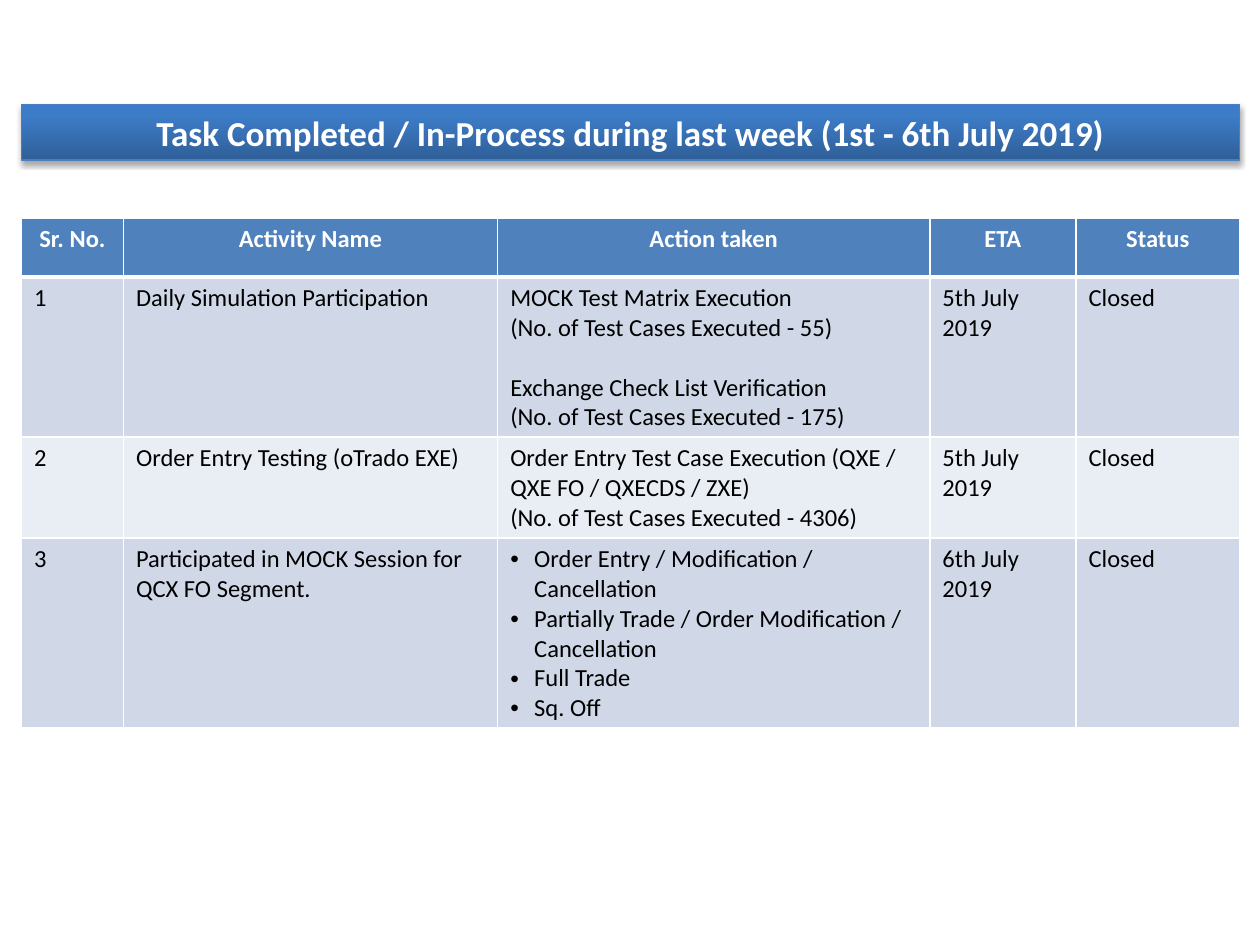
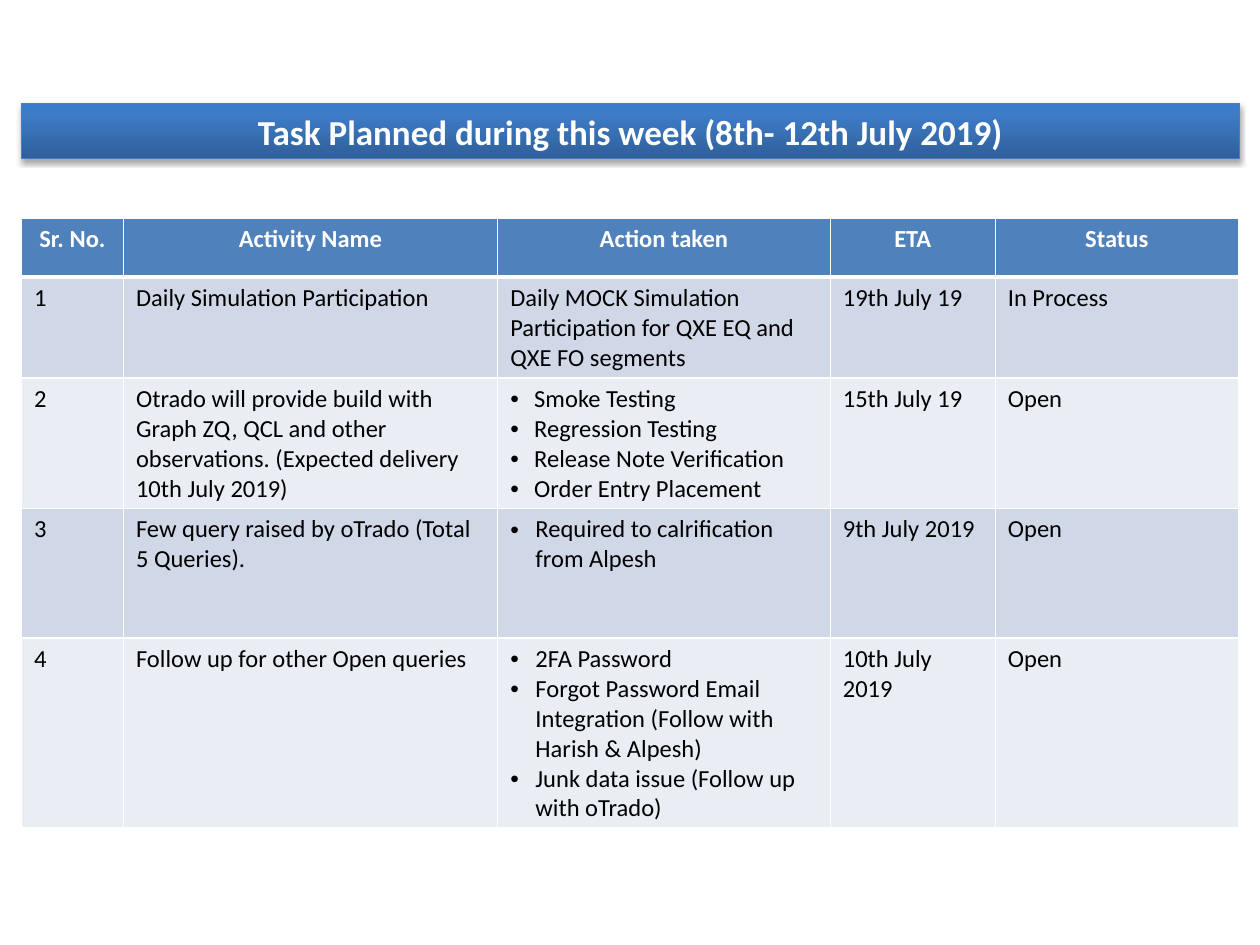
from dataclasses import dataclass

from pptx import Presentation
from pptx.dml.color import RGBColor
from pptx.enum.shapes import MSO_SHAPE as SHAPE
from pptx.enum.text import MSO_ANCHOR as ANCHOR, MSO_AUTO_SIZE as AUTO, PP_ALIGN as ALIGN
from pptx.oxml import parse_xml
from pptx.oxml.ns import nsdecls, qn
from pptx.util import Inches, Pt


@dataclass(frozen=True)
class Theme:
    font: str = "Calibri"
    title_size: int = 20
    table_size: int = 14
    white: str = "FFFFFF"
    text: str = "000000"
    header: str = "4F81BD"
    bands: tuple = ("D0D8E8", "E9EDF4")
    title_line: str = "4B7EBC"
    title_stops: tuple = ((0, "2F5F99"), (80, "3D7CC7"), (100, "3A7CCB"))
    grid_width: float = 1
    header_rule: float = 3


@dataclass(frozen=True)
class Para:
    text: str
    indent: float = 0
    before: int = 0


THEME = Theme()
MARGIN, CONTENT_WIDTH = 0.17, 9.67
TITLE_HEIGHT, TABLE_TOP, HEADER_HEIGHT = 0.44, 1.73, 0.47
HEADINGS = ("Sr. No.", "Activity Name", "Action taken", "ETA", "Status")


def bullets(*texts, indent=0.19):
    return [Para(text, indent) for text in texts]


def rgb(value):
    return RGBColor.from_string(value)


def a_xml(tag, attrs="", inner=""):
    return parse_xml(f"<a:{tag} {nsdecls('a')} {attrs}>{inner}</a:{tag}>")


def set_font(p, size, color, bold):
    formats = {"name": THEME.font, "size": Pt(size), "bold": bold}
    for name, value in formats.items():
        setattr(p.font, name, value)
    p.font.color.rgb = rgb(color)


def add_title_bar(slide, title, left, top, width, height):
    sp = slide.shapes.add_shape(SHAPE.RECTANGLE, *map(Inches, (left, top, width, height)))
    sp.line.color.rgb = rgb(THEME.title_line)
    sp.line.width = Pt(0.75)
    sp.shadow.inherit = False
    props = sp.element.spPr
    stops = "".join(f'<a:gs pos="{pos * 1000}"><a:srgbClr val="{color}"/></a:gs>'
                    for pos, color in THEME.title_stops)
    gradient = a_xml("gradFill", 'rotWithShape="1"',
                     f'<a:gsLst>{stops}</a:gsLst><a:lin ang="16200000" scaled="0"/>')
    props.find(qn("a:prstGeom")).addnext(gradient)
    shadow = a_xml("outerShdw",
                   f'blurRad="{Pt(3.1)}" dist="{Pt(1.8)}" dir="5400000" rotWithShape="0"',
                   '<a:srgbClr val="000000"><a:alpha val="35000"/></a:srgbClr>')
    props.find(qn("a:effectLst")).append(shadow)
    tf = sp.text_frame
    for name, value in {"word_wrap": True, "auto_size": AUTO.SHAPE_TO_FIT_TEXT,
                        "vertical_anchor": ANCHOR.MIDDLE}.items():
        setattr(tf, name, value)
    p = tf.paragraphs[0]
    p.text, p.alignment = title, ALIGN.CENTER
    set_font(p, THEME.title_size, THEME.white, True)


def set_borders(cell, row):
    """Draw the white grid, with a thick rule between header and body."""
    widths = dict.fromkeys("LRTB", THEME.grid_width)
    if row < 2:
        widths["T" if row else "B"] = THEME.header_rule
    props = cell._tc.get_or_add_tcPr()
    for side, width in widths.items():
        props.append(a_xml(f"ln{side}", f'w="{Pt(width)}"',
                           f'<a:solidFill><a:srgbClr val="{THEME.white}"/></a:solidFill>'))


def fill_cell(cell, content, row):
    is_header = row == 0
    set_borders(cell, row)
    cell.fill.solid()
    cell.fill.fore_color.rgb = rgb(THEME.header if is_header else THEME.bands[(row - 1) % 2])
    tf = cell.text_frame
    paras = [Para(content)] if isinstance(content, str) else content
    for i, para in enumerate(paras):
        p = tf.add_paragraph() if i else tf.paragraphs[0]
        p.text = para.text
        p.alignment = ALIGN.CENTER if is_header else ALIGN.LEFT
        if para.before:
            p.space_before = Pt(para.before)
        if para.indent:
            props = p._p.get_or_add_pPr()
            props.set("marL", str(Inches(para.indent)))
            props.set("indent", str(-Inches(para.indent)))
            props.append(a_xml("buFont", 'typeface="Arial"'))
            props.append(a_xml("buChar", 'char="•"'))
        set_font(p, THEME.table_size, THEME.white if is_header else THEME.text, is_header)


def add_task_table(slide, tasks, left, top, col_widths, row_heights):
    numbered = [(str(n), *task) for n, task in enumerate(tasks, 1)]
    rows = [HEADINGS, *numbered]
    heights = [HEADER_HEIGHT, *row_heights]
    box = (left, top, sum(col_widths), sum(heights))
    table = slide.shapes.add_table(len(rows), len(HEADINGS), *map(Inches, box)).table
    for column, width in zip(table.columns, col_widths):
        column.width = Inches(width)
    for r, (values, height) in enumerate(zip(rows, heights)):
        table.rows[r].height = Inches(height)
        for c, value in enumerate(values):
            fill_cell(table.cell(r, c), value, r)


def add_task_slide(prs, title, title_top, tasks, col_widths, row_heights):
    slide = prs.slides.add_slide(prs.slide_layouts[6])
    add_title_bar(slide, title, MARGIN, title_top, CONTENT_WIDTH, TITLE_HEIGHT)
    add_task_table(slide, tasks, MARGIN, TABLE_TOP, col_widths, row_heights)


COMPLETED = [
    ("Daily Simulation Participation",
     [Para("MOCK Test Matrix Execution"),
      Para("(No. of Test Cases Executed - 55)"),
      Para("Exchange Check List Verification", before=17),
      Para("(No. of Test Cases Executed - 175)")],
     "5th July 2019", "Closed"),
    ("Order Entry Testing (oTrado EXE)",
     [Para("Order Entry Test Case Execution (QXE / QXE FO / QXECDS / ZXE)"),
      Para("(No. of Test Cases Executed - 4306)")],
     "5th July 2019", "Closed"),
    ("Participated in MOCK Session for QCX FO Segment.",
     bullets("Order Entry / Modification / Cancellation",
             "Partially Trade / Order Modification / Cancellation",
             "Full Trade", "Sq. Off"),
     "6th July 2019", "Closed"),
]

PLANNED = [
    ("Daily Simulation Participation",
     "Daily MOCK Simulation Participation for QXE EQ and QXE FO segments",
     "19th July 19", "In Process"),
    ("Otrado will provide build with Graph ZQ, QCL and other observations. "
     "(Expected delivery 10th July 2019)",
     bullets("Smoke Testing", "Regression Testing",
             "Release Note Verification", "Order Entry Placement"),
     "15th July 19", "Open"),
    ("Few query raised by oTrado (Total 5 Queries).",
     bullets("Required to calrification from Alpesh", indent=0.2),
     "9th July 2019", "Open"),
    ("Follow up for other Open queries",
     bullets("2FA Password",
             "Forgot Password Email Integration (Follow with Harish & Alpesh)",
             "Junk data issue (Follow up with oTrado)", indent=0.2),
     "10th July 2019", "Open"),
]


def main():
    prs = Presentation()
    prs.slide_width, prs.slide_height = Inches(10), Inches(7.5)
    add_task_slide(prs, "Task Completed / In-Process during last week (1st - 6th July 2019)",
                   0.83, COMPLETED, (0.81, 2.97, 3.43, 1.16, 1.3), (1.26, 0.8, 1.5))
    add_task_slide(prs, "Task Planned during this week (8th- 12th July 2019)",
                   0.82, PLANNED, (0.81, 2.97, 2.64, 1.31, 1.93), (0.8, 1.03, 1.03, 1.5))
    prs.save("out.pptx")


if __name__ == "__main__":
    main()
